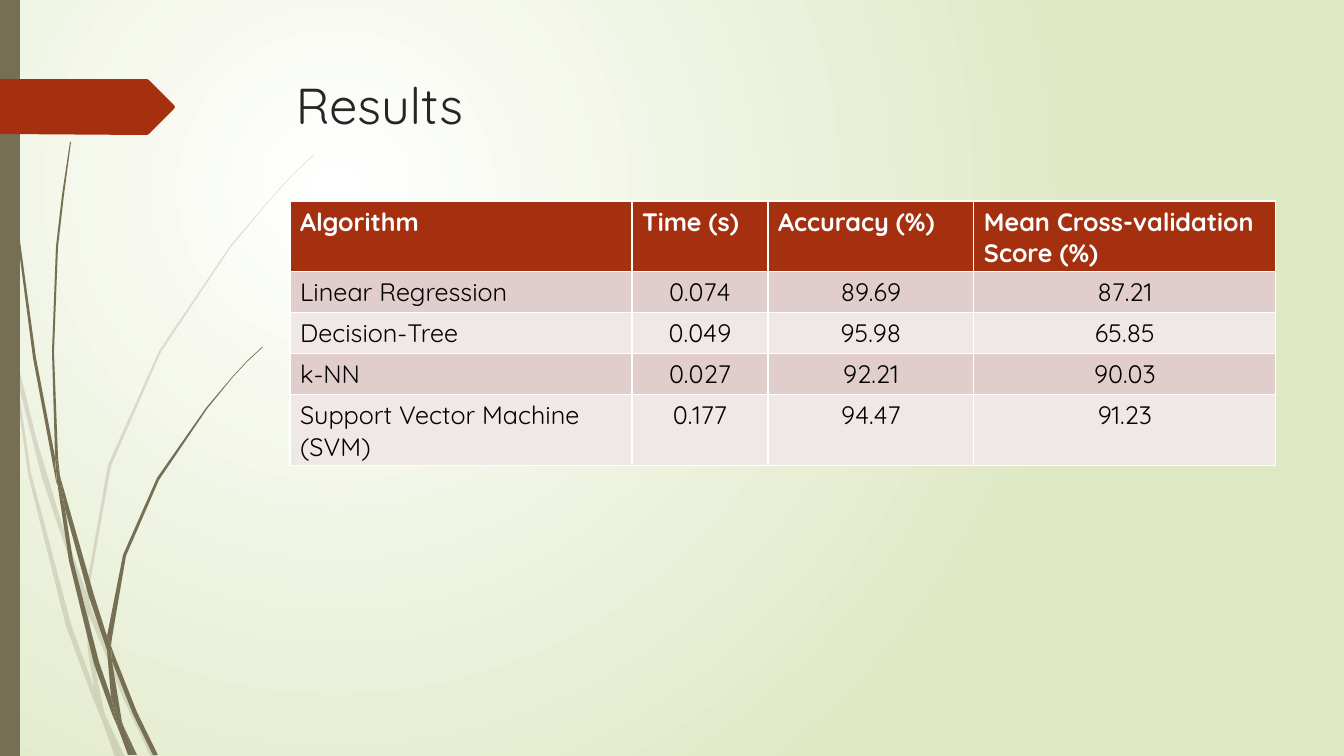
from lxml.etree import SubElement
from pptx import Presentation
from pptx.dml.color import RGBColor
from pptx.enum.shapes import MSO_SHAPE
from pptx.enum.text import MSO_ANCHOR, PP_ALIGN
from pptx.oxml.ns import qn
from pptx.util import Pt

PX = 914400 / 100.8
WIDTH, HEIGHT = 1344, 756
FONT = "Quicksand"

WHITE = RGBColor(0xFF, 0xFF, 0xFF)
BLACK = RGBColor(0x00, 0x00, 0x00)
CHARCOAL = RGBColor(0x26, 0x26, 0x26)
PALE_GREEN = RGBColor(0xDF, 0xE8, 0xC4)
OLIVE = RGBColor(0x76, 0x6F, 0x54)
RUST = RGBColor(0xA5, 0x30, 0x10)
ROSE = RGBColor(0xE1, 0xCD, 0xCC)
PALE_ROSE = RGBColor(0xF0, 0xE8, 0xE7)

FADED_GRASS = [
    [(11, 353), (9, 325), (0, 284), (0, 301), (10, 347)],
    [(58, 526), (85, 604), (86, 591), (62, 524), (36, 437), (14, 348), (17, 379), (42, 478)],
    [(93, 612), (89, 601), (89, 615), (124, 700), (151, 757), (156, 757), (128, 698)],
    [(120, 757), (125, 757), (106, 717)],
    [(94, 688), (71, 624), (31, 473), (17, 379), (11, 353), (28, 474), (66, 626),
     (93, 699), (102, 720), (100, 713)],
    [(85, 604), (88, 651), (94, 688), (97, 698), (106, 717), (104, 712), (92, 651),
     (89, 615), (89, 613)],
    [(89, 589), (111, 466), (161, 352), (231, 247), (270, 200), (292, 176), (314, 155),
     (314, 154), (291, 176), (270, 199), (230, 246), (159, 351), (108, 465), (86, 589),
     (86, 591), (89, 601)],
    [(102, 720), (115, 757), (120, 757)],
    [(89, 613), (89, 615), (89, 601), (86, 591), (85, 604)],
    [(97, 698), (94, 688), (100, 713), (102, 720), (120, 757), (106, 717)],
]
DARK_GRASS = [
    [(7, 111), (17, 235), (33, 358), (56, 481), (57, 485), (55, 461), (55, 457),
     (36, 358), (19, 234), (8, 110), (5, 48), (4, 0), (3, 0), (4, 48)],
    [(89, 597), (107, 650), (107, 638), (107, 636), (94, 595), (60, 476), (65, 509)],
    [(114, 654), (111, 646), (112, 661), (133, 714), (153, 755), (158, 755), (137, 712)],
    [(111, 697), (99, 662), (73, 560), (65, 509), (57, 481), (69, 561), (94, 664),
     (112, 714), (118, 728), (117, 723)],
    [(60, 476), (58, 457), (54, 352), (58, 247), (64, 195), (71, 142), (70, 142),
     (62, 195), (56, 247), (52, 352), (55, 453)],
    [(134, 755), (137, 755), (123, 725)],
    [(57, 481), (65, 509), (60, 476), (55, 453), (55, 457)],
    [(112, 638), (126, 556), (159, 480), (207, 409), (233, 377), (247, 362), (263, 347),
     (262, 347), (247, 361), (233, 376), (206, 408), (157, 478), (123, 555), (107, 636),
     (111, 646)],
    [(118, 728), (128, 755), (132, 755)],
    [(107, 650), (111, 697), (117, 712), (123, 725), (122, 722), (112, 661), (110, 656)],
    [(107, 650), (110, 656), (112, 661), (111, 646), (107, 636), (107, 638)],
    [(117, 712), (111, 697), (117, 723), (118, 728), (131, 755), (134, 755), (123, 725)],
]
RESULTS = [
    ["Algorithm", "Time (s)", "Accuracy (%)", "Mean Cross-validation Score (%)"],
    ["Linear Regression", "0.074", "89.69", "87.21"],
    ["Decision-Tree", "0.049", "95.98", "65.85"],
    ["k-NN", "0.027", "92.21", "90.03"],
    ["Support Vector Machine (SVM)", "0.177", "94.47", "91.23"],
]
COLUMN_WIDTHS = [342, 136, 206, 302]
ROW_HEIGHT = 41


def px(length):
    return round(length * PX)


def write(frame, text, size=18, color=BLACK, bold=False, align=PP_ALIGN.LEFT):
    paragraph = frame.paragraphs[0]
    paragraph.alignment = align
    run = paragraph.add_run()
    run.text = text
    run.font.name = FONT
    run.font.size = Pt(size)
    run.font.bold = bold
    run.font.color.rgb = color


def paint(shape, color, opacity=100):
    shape.shadow.inherit = False
    shape.fill.solid()
    shape.fill.fore_color.rgb = color
    shape.line.fill.background()
    if opacity < 100:
        tint = shape.element.xpath(".//p:spPr/a:solidFill/a:srgbClr")[0]
        SubElement(tint, qn("a:alpha"), val=str(opacity * 1000))


def add_outline(slide, points, color, opacity=100):
    corners = [(px(x), px(y)) for x, y in points]
    builder = slide.shapes.build_freeform(*corners[0])
    builder.add_line_segments(corners[1:], close=True)
    paint(builder.convert_to_shape(), color, opacity)


def add_grass(slide, left, top, blades, opacity=100):
    for blade in blades:
        add_outline(slide, [(left + x, top + y) for x, y in blade], OLIVE, opacity)


def add_background(slide):
    fill = slide.background.fill
    fill.gradient()
    for stop, color, position in zip(fill.gradient_stops, (WHITE, PALE_GREEN), (0, 1)):
        stop.color.rgb = color
        stop.position = position
    gradient = slide.element.xpath(".//a:gradFill")[0]
    gradient.remove(gradient.find(qn("a:lin")))
    circle = SubElement(gradient, qn("a:path"), path="circle")
    SubElement(circle, qn("a:fillToRect"), l="50000", t="50000", r="100000", b="100000")


def add_side_bar(slide, left, top, width, height):
    bar = slide.shapes.add_shape(
        MSO_SHAPE.RECTANGLE, px(left), px(top), px(width), px(height))
    paint(bar, OLIVE)


def add_banner(slide, left, top, width, height):
    right, bottom, middle = left + width, top + height, top + height / 2
    shoulder = right - 26
    add_outline(slide, [
        (left, top), (shoulder - 2, top), (shoulder, top + 1),
        (right - 1, middle - 2), (right, middle), (right - 1, middle + 2),
        (shoulder, bottom - 1), (shoulder - 2, bottom), (left, bottom - 1),
    ], RUST)


def add_title(slide, left, top, width, height):
    title = slide.shapes.add_textbox(px(left), px(top), px(width), px(height))
    title.text_frame.word_wrap = True
    title.text_frame.vertical_anchor = MSO_ANCHOR.TOP
    write(title.text_frame, "Results", size=36, color=CHARCOAL)


def add_results_table(slide, left, top, height):
    frame = slide.shapes.add_table(
        len(RESULTS), len(COLUMN_WIDTHS), px(left), px(top),
        px(sum(COLUMN_WIDTHS)), px(height))
    table = frame.table
    for column, width in zip(table.columns, COLUMN_WIDTHS):
        column.width = px(width)
    for row, values in enumerate(RESULTS):
        table.rows[row].height = px(ROW_HEIGHT)
        header = row == 0
        for column, value in enumerate(values):
            cell = table.cell(row, column)
            cell.fill.solid()
            cell.fill.fore_color.rgb = RUST if header else ROSE if row % 2 else PALE_ROSE
            write(cell.text_frame, value, bold=header,
                  color=WHITE if header else BLACK,
                  align=PP_ALIGN.LEFT if header or column == 0 else PP_ALIGN.CENTER)
    frame.height = px(height)


def main():
    deck = Presentation()
    deck.slide_width, deck.slide_height = px(WIDTH), px(HEIGHT)
    slide = deck.slides.add_slide(deck.slide_layouts[6])
    add_background(slide)
    add_grass(slide, 0, 0, FADED_GRASS, opacity=20)
    add_grass(slide, 0, 0, DARK_GRASS)
    add_side_bar(slide, 0, 0, 20, HEIGHT)
    add_banner(slide, 0, 79, 175, 56)
    add_title(slide, 286, 69, 983, 141)
    add_results_table(slide, 290, 201, 264)
    deck.save("out.pptx")


if __name__ == "__main__":
    main()
